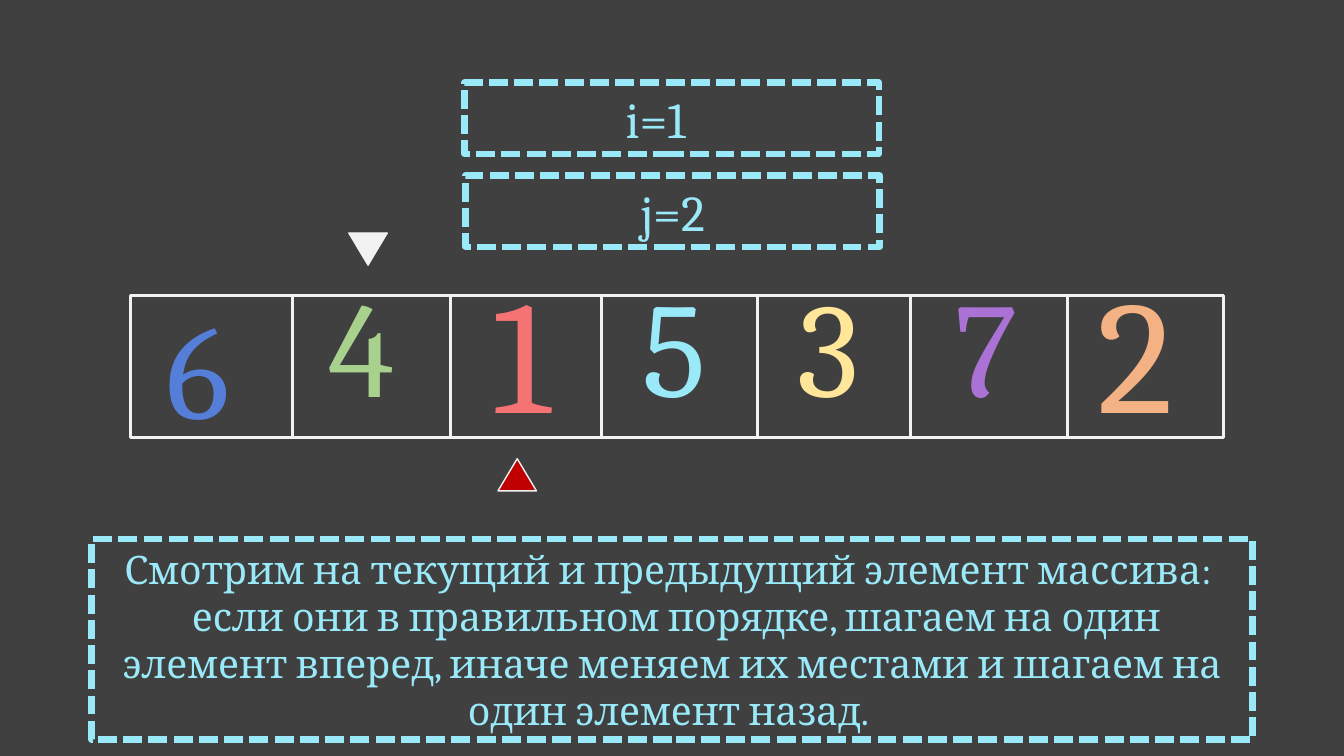
from lxml.etree import SubElement
from pptx import Presentation
from pptx.dml.color import RGBColor
from pptx.enum.dml import MSO_LINE
from pptx.enum.shapes import MSO_CONNECTOR, MSO_SHAPE
from pptx.enum.text import MSO_ANCHOR, PP_ALIGN
from pptx.oxml.ns import qn
from pptx.util import Cm, Pt

GREY = RGBColor(0x40, 0x40, 0x40)
WHITE = RGBColor(0xF2, 0xF2, 0xF2)
CYAN = RGBColor(0x99, 0xE9, 0xF9)
CORAL = RGBColor(0xF5, 0x73, 0x73)
GREEN = RGBColor(0xA9, 0xD1, 0x8E)
BLUE = RGBColor(0x55, 0x7E, 0xD9)
ORANGE = RGBColor(0xF4, 0xB1, 0x83)
YELLOW = RGBColor(0xFF, 0xE6, 0x99)
PURPLE = RGBColor(0xAA, 0x72, 0xD4)
RED = RGBColor(0xC0, 0x00, 0x00)


class SlideBuilder:
    font = "Cambria"

    def __init__(self, page):
        self.page = page
        page.background.fill.solid()
        page.background.fill.fore_color.rgb = GREY

    def add_span(self, para, text, size, color):
        span = para.add_run()
        span.text = text
        span.font.name = self.font
        span.font.size = Pt(size)
        span.font.color.rgb = color

    def shape(self, kind, left, top, width, height, line, weight, fill=None):
        shape = self.page.shapes.add_shape(kind, Cm(left), Cm(top), Cm(width), Cm(height))
        shape.shadow.inherit = False
        shape.line.color.rgb = line
        shape.line.width = Pt(weight)
        if fill is None:
            shape.fill.background()
        else:
            shape.fill.solid()
            shape.fill.fore_color.rgb = fill
        return shape

    def divider(self, left, top, height):
        line = self.page.shapes.add_connector(
            MSO_CONNECTOR.STRAIGHT, Cm(left), Cm(top), Cm(left), Cm(top + height))
        line.line.color.rgb = WHITE
        line.line.width = Pt(2.25)
        SubElement(line._element.spPr, qn("a:effectLst"))

    def digit(self, text, left, top, size, color):
        box = self.page.shapes.add_textbox(Cm(left), Cm(top), Cm(2.92), Cm(size * 0.045))
        box.text_frame.word_wrap = True
        self.add_span(box.text_frame.paragraphs[0], text, size, color)

    def dashed_box(self, left, top, width, height, size, lines):
        box = self.shape(MSO_SHAPE.RECTANGLE, left, top, width, height, CYAN, 4.5)
        box.line.dash_style = MSO_LINE.SQUARE_DOT
        frame = box.text_frame
        frame.word_wrap = True
        frame.vertical_anchor = MSO_ANCHOR.MIDDLE
        for index, text in enumerate(lines):
            para = frame.add_paragraph() if index else frame.paragraphs[0]
            para.alignment = PP_ALIGN.CENTER
            self.add_span(para, text, size, CYAN)
        return box

    def marker(self, left, top, fill, rotation=0):
        marker = self.shape(MSO_SHAPE.ISOSCELES_TRIANGLE, left, top, 0.97, 0.81, WHITE, 1, fill)
        marker.rotation = rotation


def main():
    deck = Presentation()
    deck.slide_width, deck.slide_height = Cm(33.87), Cm(19.05)
    builder = SlideBuilder(deck.slides.add_slide(deck.slide_layouts[6]))

    # Array cells
    top, height = 7.44, 3.58
    builder.shape(MSO_SHAPE.RECTANGLE, 3.3, top, 27.53, height, WHITE, 2.25)
    for left in (7.37, 11.35, 15.16, 19.08, 22.94, 26.9):
        builder.divider(left, top, height)

    # Array values
    for value in (
        ("6", 3.94, 7.06, 96, BLUE),
        ("4", 8.03, 6.5, 96, GREEN),
        ("1", 12.17, 6.25, 115, CORAL),
        ("5", 15.93, 6.5, 96, CYAN),
        ("3", 19.84, 6.5, 96, YELLOW),
        ("7", 23.8, 6.5, 96, PURPLE),
        ("2", 27.41, 6.25, 115, ORANGE),
    ):
        builder.digit(*value)

    # Position markers
    builder.marker(8.79, 5.87, WHITE, 180)
    builder.marker(12.55, 11.56, RED)

    # Counters; the first one sits slightly left of centre
    counter = builder.dashed_box(11.71, 2.08, 10.44, 1.8, 36, ["i=1"])
    counter.text_frame.margin_right = Cm(1.06)
    builder.dashed_box(11.73, 4.42, 10.44, 1.8, 36, ["j=2"])

    # Explanation
    builder.dashed_box(2.31, 13.59, 29.26, 5.05, 28, [
        "Смотрим на текущий и предыдущий элемент массива: ",
        " если они в правильном порядке, шагаем на один элемент вперед, "
        "иначе меняем их местами и шагаем на один элемент назад. ",
    ])

    deck.save("out.pptx")


if __name__ == "__main__":
    main()
